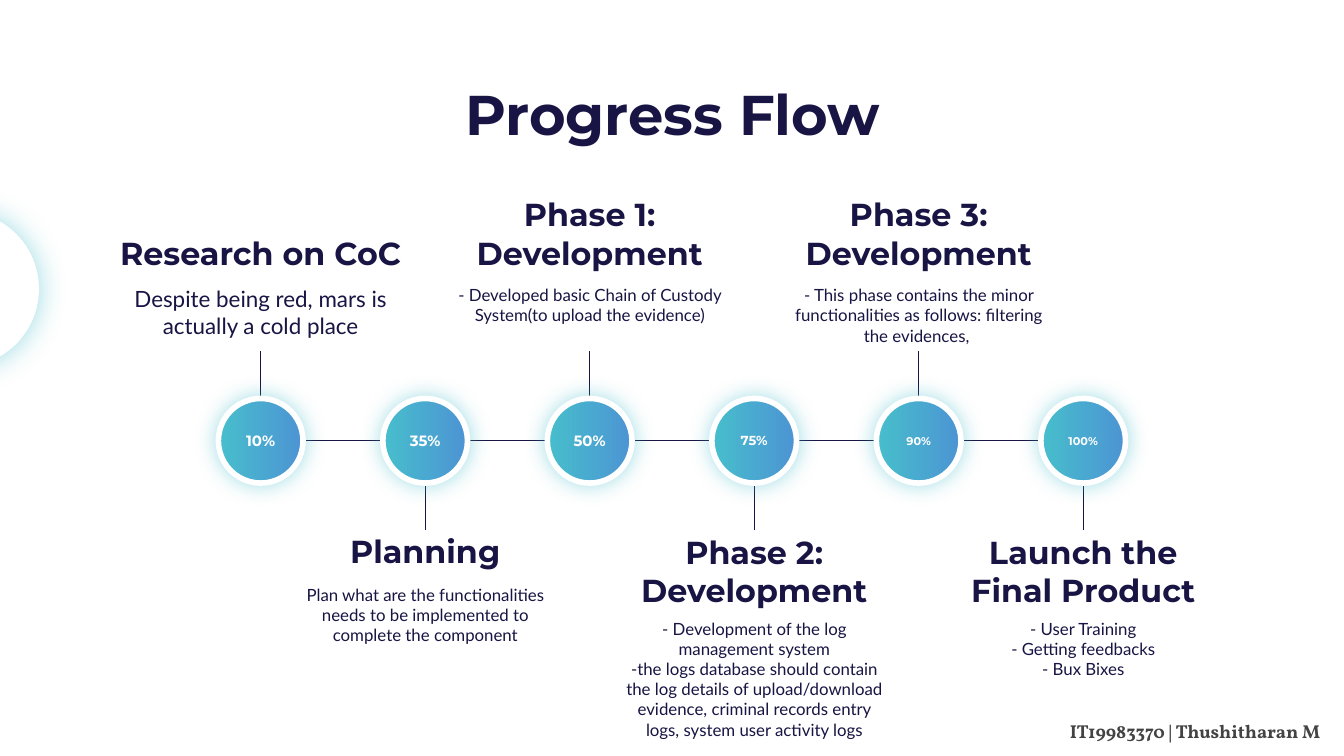
from lxml.etree import SubElement
from pptx import Presentation
from pptx.dml.color import RGBColor as RGB
from pptx.enum.shapes import MSO_CONNECTOR as Link, MSO_SHAPE as Shape
from pptx.enum.text import MSO_ANCHOR as Anchor, MSO_AUTO_SIZE as Fit, PP_ALIGN as Align
from pptx.oxml.ns import qn
from pptx.util import Inches, Pt

NAVY = RGB(0x18, 0x14, 0x43)
TEAL = RGB(0x47, 0xBE, 0xCC)
BLUE = RGB(0x4C, 0x94, 0xD3)
GREY = RGB(0x43, 0x43, 0x43)
WHITE = RGB(0xFF, 0xFF, 0xFF)

# Timeline grid, in inches; the slide is 16:9
WIDE = 10
HIGH = WIDE * 9 / 16
FIRST, LAST = 1.94, 8.06
DOT, AXIS = 0.63, 3.28
STEM = 0.35
BOX = 2.17

# Percent, its size, heading, its width and height, body top, body size, body
STEPS = [
    ("10%", 8, "Research on CoC", 2.56, 0.41, 2.02, 12,
     "Despite being red, mars is actually a cold place"),
    ("35%", 8, "Planning", BOX, 0.41, 4.25, 9,
     "Plan what are the functionalities needs to be implemented to "
     "complete the component"),
    ("50%", 8, "Phase 1: Development", BOX, 0.41, 2.02, 9,
     "- Developed basic Chain of Custody System(to upload the evidence)"),
    ("75%", 7, "Phase 2: Development", BOX, 0.7, 4.5, 9,
     "- Development of the log management system\n"
     "-the logs database should contain the log details of upload/download "
     "evidence, criminal records entry logs, system user activity logs"),
    ("90%", 6, "Phase 3: Development", BOX, 0.41, 2.02, 9,
     "- This phase contains the minor functionalities as follows: "
     "filtering the evidences, "),
    ("100%", 6, "Launch the Final Product", BOX, 0.7, 4.5, 9,
     "- User Training\n- Getting feedbacks\n- Bux Bixes"),
]
STEP = (LAST - FIRST) / (len(STEPS) - 1)


def write(shape, text, size=9, face="Lato", color=NAVY, bold=False,
          align=Align.CENTER, anchor=Anchor.TOP, fit=Fit.NONE):
    frame = shape.text_frame
    frame.word_wrap = True
    frame.auto_size = fit
    frame.vertical_anchor = anchor
    frame.margin_left = frame.margin_right = Inches(0.1)
    frame.margin_top = frame.margin_bottom = Inches(0.1)
    frame.text = text
    for para in frame.paragraphs:
        para.alignment = align
        font = para.font
        font.size, font.name, font.bold = Pt(size), face, bold
        font.color.rgb = color


def add_text(slide, text, left, top, width, height, **style):
    box = slide.shapes.add_textbox(*map(Inches, (left, top, width, height)))
    write(box, text, **style)


def add_line(slide, x1, y1, x2, y2):
    line = slide.shapes.add_connector(
        Link.STRAIGHT, *map(Inches, (x1, y1, x2, y2)))
    line.line.color.rgb = NAVY
    line.line.width = Pt(0.75)
    SubElement(line._element.spPr, qn("a:effectLst"))


def add_glow(shape, blur, alpha):
    shape.shadow.inherit = False
    effects = shape._element.spPr.find(qn("a:effectLst"))
    glow = SubElement(effects, qn("a:outerShdw"), blurRad=str(Pt(blur)),
                      dist="0", dir="0", algn="ctr", rotWithShape="0")
    tint = SubElement(glow, qn("a:srgbClr"), val=str(TEAL))
    SubElement(tint, qn("a:alpha"), val=str(alpha * 1000))


def add_disc(slide, mid_x, mid_y, size, blur, alpha):
    disc = slide.shapes.add_shape(
        Shape.OVAL, Inches(mid_x - size / 2), Inches(mid_y - size / 2),
        Inches(size), Inches(size))
    add_glow(disc, blur, alpha)
    return disc


def add_dot(slide, mid, text, size):
    dot = add_disc(slide, mid, AXIS, DOT, 11.2, 50)
    dot.fill.gradient()
    dot.fill.gradient_angle = 0
    for stop, color, place in zip(dot.fill.gradient_stops, (TEAL, BLUE), (0, 1)):
        stop.color.rgb, stop.position = color, place
    dot.line.color.rgb = WHITE
    dot.line.width = Pt(3)
    write(dot, text, size=size, face="Montserrat", color=WHITE, bold=True,
          anchor=Anchor.MIDDLE)


def add_step(slide, index, step):
    label, label_size, head, width, height, top, size, body = step
    mid = FIRST + index * STEP
    above = index % 2 == 0

    # Stem and link to the next dot
    side = -1 if above else 1
    edge = AXIS + side * DOT / 2
    add_line(slide, mid, edge, mid, edge + side * STEM)
    if index < len(STEPS) - 1:
        add_line(slide, mid + DOT / 2, AXIS, mid + STEP - DOT / 2, AXIS)

    # Dot and its texts
    add_dot(slide, mid, label, label_size)
    add_text(slide, body, mid - BOX / 2, top, BOX, 0.58, size=size)
    add_text(slide, head, mid - width / 2, 1.71 if above else 3.93, width,
             height, size=17, face="Montserrat", bold=True,
             anchor=Anchor.BOTTOM)


def main():
    deck = Presentation()
    deck.slide_width, deck.slide_height = Inches(WIDE), Inches(HIGH)
    slide = deck.slides.add_slide(deck.slide_layouts[5])

    # Title
    title = slide.shapes.title
    title.left, title.top = Inches(0.79), Inches(0.49)
    title.width, title.height = Inches(8.43), Inches(0.63)
    write(title, "Progress Flow", size=30, face="Montserrat", bold=True)

    # Side circle
    side = add_disc(slide, -0.29, 2.15, 1.16, 15.8, 53)
    side.fill.solid()
    side.fill.fore_color.rgb = WHITE
    side.line.fill.background()

    # Timeline
    for index, step in enumerate(STEPS):
        add_step(slide, index, step)

    # Footer
    add_text(slide, "IT19983370 | Thushitharan M", 6.72, 5.27, 3.2, 0.37,
             size=10, face="Vollkorn", color=GREY, bold=True,
             align=Align.RIGHT, fit=Fit.SHAPE_TO_FIT_TEXT)

    deck.save("out.pptx")


if __name__ == "__main__":
    main()
